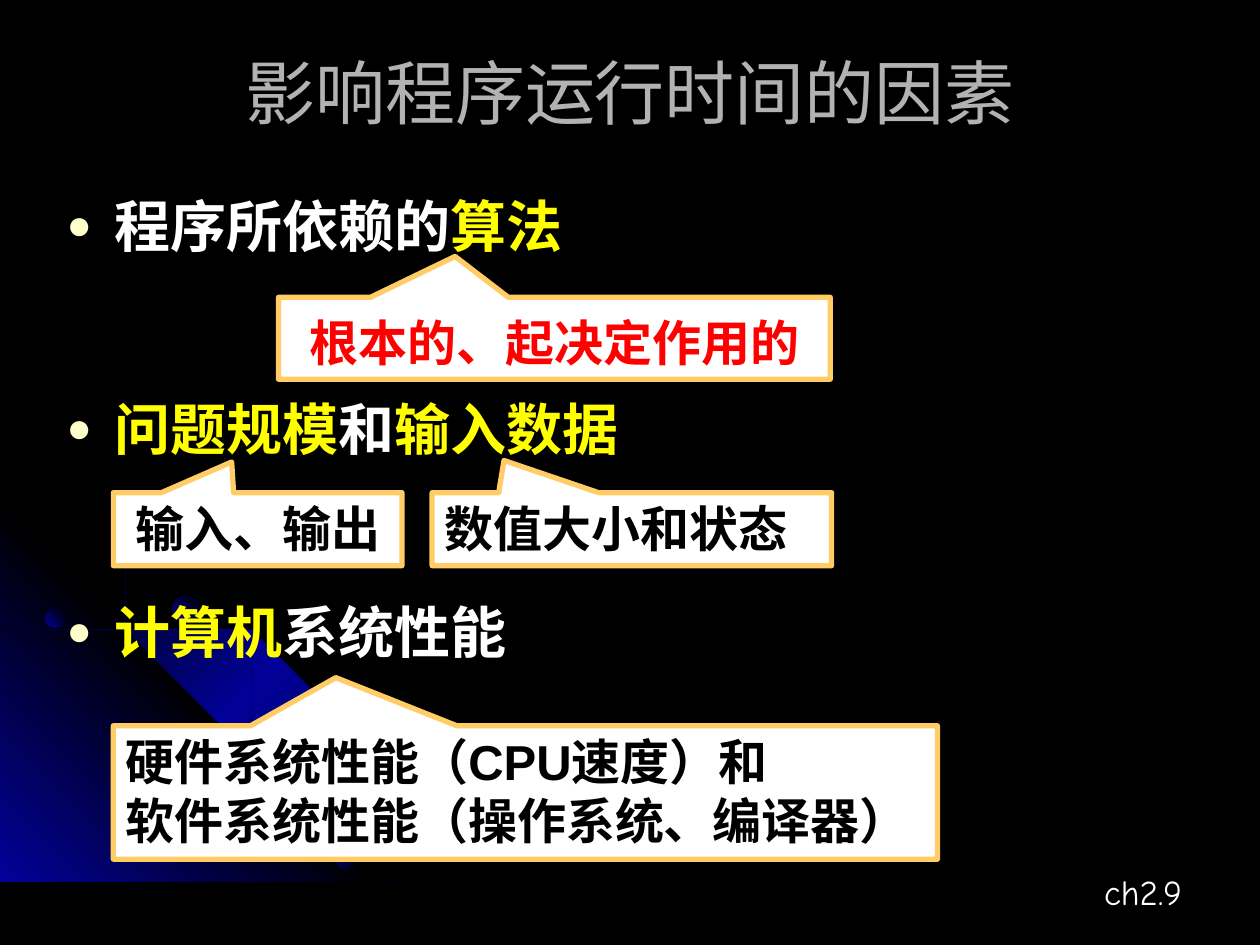
from lxml.etree import SubElement
from pptx import Presentation
from pptx.dml.color import RGBColor
from pptx.enum.shapes import MSO_SHAPE
from pptx.enum.text import MSO_ANCHOR, PP_ALIGN
from pptx.oxml import parse_xml
from pptx.oxml.ns import nsdecls, qn
from pptx.util import Inches, Pt

COLORS = {
    "black": "000000", "white": "FFFFFF", "blue": "010199", "grey": "B2B2B2",
    "yellow": "FFFF00", "red": "FF0000", "orange": "FFCC66", "bullet": "FFFFCC",
}
BOTTOM = 7.49

# Upper edges of the curved light trails
TRAILS = [
    [(0, 4.35), (0.28, 4.41), (0.57, 4.47), (0.98, 4.59), (1.36, 4.77), (1.74, 4.97),
     (2.09, 5.21), (2.42, 5.48), (2.72, 5.78), (3, 6.11), (3.25, 6.48), (3.39, 6.73),
     (3.52, 6.98), (3.62, 7.23), (3.72, BOTTOM)],
    [(0, 4.75), (0.41, 4.88), (0.79, 5.05), (1.17, 5.26), (1.52, 5.49), (1.84, 5.76),
     (2.15, 6.06), (2.42, 6.4), (2.66, 6.76), (2.86, 7.12), (2.96, 7.3), (3.03, BOTTOM)],
    [(0, 4.42), (0.39, 4.55), (0.76, 4.73), (1.11, 4.93), (1.44, 5.16), (1.75, 5.43),
     (2.04, 5.73), (2.29, 6.03), (2.54, 6.39), (2.69, 6.65), (2.82, 6.93), (2.94, 7.2),
     (3.03, BOTTOM)],
]


class SlideBuilder:
    font = "Arial"

    def __init__(self, slide):
        self.slide = slide
        self.shapes = slide.shapes

    def color(self, name):
        return RGBColor.from_string(COLORS[name])

    def background(self, color):
        fill = self.slide.background.fill
        fill.solid()
        fill.fore_color.rgb = self.color(color)

    def run(self, paragraph, text, size, color, bold=False, font=None):
        run = paragraph.add_run()
        run.text = text
        run.font.name = font or self.font
        run.font.size = Pt(size)
        run.font.bold = bold
        run.font.color.rgb = self.color(color)

    def frame(self, shape, margins=(0.1, 0.05), anchor=MSO_ANCHOR.TOP):
        frame = shape.text_frame
        frame.word_wrap = True
        frame.vertical_anchor = anchor
        frame.margin_left = frame.margin_right = Inches(margins[0])
        frame.margin_top = frame.margin_bottom = Inches(margins[1])
        return frame

    def text_box(self, box):
        return self.frame(self.shapes.add_textbox(*map(Inches, box)))

    def gradient(self, shape, names, angle):
        """Fill with evenly spaced colour stops and no outline."""
        shape.shadow.inherit = False
        shape.line.fill.background()
        shape.fill.gradient()
        old = shape.element.spPr.find(qn("a:gradFill"))
        step = 100000 // (len(names) - 1)
        stops = "".join(
            f'<a:gs pos="{index * step}"><a:srgbClr val="{COLORS[name]}"/></a:gs>'
            for index, name in enumerate(names))
        old.getparent().replace(old, parse_xml(
            f'<a:gradFill {nsdecls("a")} rotWithShape="1"><a:gsLst>{stops}</a:gsLst>'
            f'<a:lin ang="{angle * 60000}" scaled="0"/></a:gradFill>'))

    def polygon(self, points, names, angle):
        builder = self.shapes.build_freeform(*points[0], scale=Inches(1))
        builder.add_line_segments(points[1:], close=True)
        self.gradient(builder.convert_to_shape(), names, angle)

    def trail(self, edge):
        inner = [(max(x - 0.02, 0), min(y + 0.02, BOTTOM)) for x, y in reversed(edge)]
        self.polygon(edge + inner, ["black", "blue", "black"], 45)

    def dot(self, left, top, size, angle):
        box = map(Inches, (left, top, size, size))
        shape = self.shapes.add_shape(MSO_SHAPE.OVAL, *box)
        self.gradient(shape, ["blue", "black"], angle)

    def title(self, text, box):
        title = self.shapes.title
        title.left, title.top, title.width, title.height = map(Inches, box)
        paragraph = self.frame(title, anchor=MSO_ANCHOR.MIDDLE).paragraphs[0]
        paragraph.alignment = PP_ALIGN.CENTER
        self.run(paragraph, text, 40, "grey")

    def bullets(self, items, box, gap):
        frame = self.text_box(box)
        for index, runs in enumerate(items):
            paragraph = frame.add_paragraph() if index else frame.paragraphs[0]
            if index:
                paragraph.space_before = Pt(gap)
            properties = paragraph._p.get_or_add_pPr()
            properties.set("marL", str(Inches(0.38)))
            properties.set("indent", str(-Inches(0.38)))
            bullet_color = SubElement(properties, qn("a:buClr"))
            SubElement(bullet_color, qn("a:srgbClr"), val=COLORS["bullet"])
            SubElement(properties, qn("a:buSzPct"), val="75000")
            SubElement(properties, qn("a:buFont"), typeface=self.font)
            SubElement(properties, qn("a:buChar"), char="●")
            for text, color in runs:
                self.run(paragraph, text, 32, color, bold=True)

    def callout(self, lines, box, tip, color="black", align=PP_ALIGN.LEFT,
                margins=(0.1, 0.05)):
        shape = self.shapes.add_shape(MSO_SHAPE.RECTANGULAR_CALLOUT, *map(Inches, box))
        shape.adjustments[0], shape.adjustments[1] = tip
        shape.shadow.inherit = False
        shape.fill.solid()
        shape.fill.fore_color.rgb = self.color("white")
        shape.line.color.rgb = self.color("orange")
        shape.line.width = Pt(3)
        frame = self.frame(shape, margins)
        for index, text in enumerate(lines):
            paragraph = frame.add_paragraph() if index else frame.paragraphs[0]
            paragraph.alignment = align
            self.run(paragraph, text, 28, color, bold=True)

    def page_label(self, text, box):
        paragraph = self.text_box(box).paragraphs[0]
        paragraph.alignment = PP_ALIGN.RIGHT
        self.run(paragraph, text, 20, "white", font="Comic Neue")


def main():
    presentation = Presentation()
    presentation.slide_width, presentation.slide_height = Inches(10), Inches(7.5)
    builder = SlideBuilder(presentation.slides.add_slide(presentation.slide_layouts[5]))

    # Background: corner glow, light trails and dots
    builder.background("black")
    builder.trail(TRAILS[0])
    builder.polygon([(0, 4.27), (3.22, BOTTOM), (0, BOTTOM)], ["blue", "black", "blue"], 315)
    for edge in TRAILS[1:]:
        builder.trail(edge)
    builder.dot(0.36, 4.83, 0.15, 315)
    builder.dot(2.67, 6.74, 0.16, 45)
    builder.dot(1.37, 4.73, 0.21, 315)

    # Title, factors and page label
    builder.page_label("ch2.9", (7.2, 6.86, 2.28, 0.44))
    builder.title("影响程序运行时间的因素", (0.5, 0.3, 9, 0.85))
    builder.bullets([
        [("程序所依赖的", "white"), ("算法", "yellow")],
        [("问题规模", "yellow"), ("和", "white"), ("输入数据", "yellow")],
        [("计算机", "yellow"), ("系统性能", "white")],
    ], (0.43, 1.47, 9.21, 5.24), gap=77.5)

    # Callouts that explain each factor
    builder.callout(["根本的、起决定作用的"], (2.21, 2.36, 4.38, 0.65), (-0.18, -1),
                    "red", PP_ALIGN.CENTER, (0.12, 0.12))
    builder.callout(["数值大小和状态"], (3.43, 3.91, 3.17, 0.58), (-0.32, -0.94))
    builder.callout(["硬件系统性能（CPU速度）和", "软件系统性能（操作系统、编译器）"],
                    (0.9, 5.76, 6.54, 1.06), (-0.23, -0.86))
    builder.callout(["输入、输出"], (0.9, 3.91, 2.29, 0.58), (-0.09, -0.92),
                    align=PP_ALIGN.CENTER)

    presentation.save("out.pptx")


if __name__ == "__main__":
    main()
